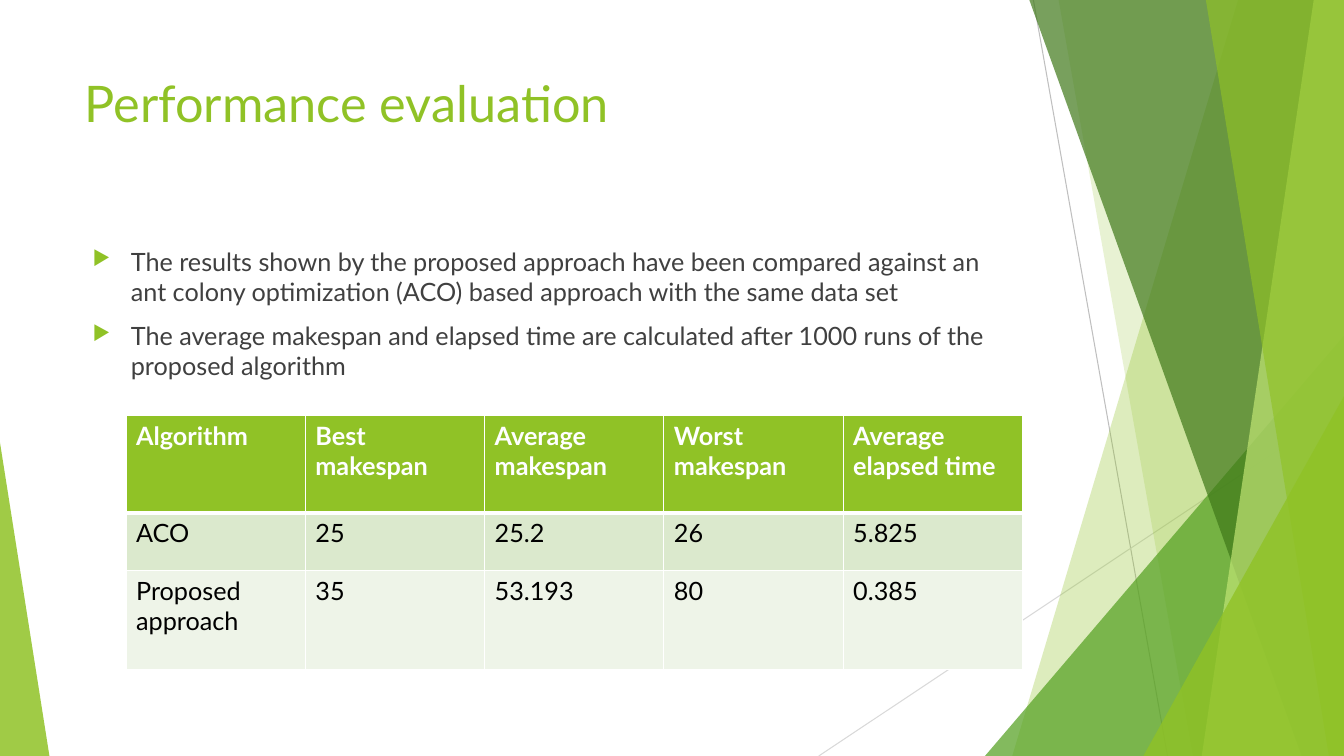
import pptx
import pptx.util
import pptx.dml.color
import pptx.enum.shapes
import pptx.oxml
import pptx.oxml.ns
import lxml.etree

HUES = {
    "lime": "90C226", "leaf": "54A021", "moss": "3F7819", "pale": "C0E474",
    "ink": "404040", "black": "000000", "white": "FFFFFF",
    "gray": "BFBFBF", "mist": "D9D9D9", "band": "DBE9CD", "tint": "EEF4E8",
}
RGB = {name: pptx.dml.color.RGBColor.from_string(hue) for name, hue in HUES.items()}
NS = pptx.oxml.ns.nsdecls("a")

deck = pptx.Presentation()
deck.slide_width = pptx.util.Inches(13.33)
deck.slide_height = pptx.util.Inches(7.5)
slide = deck.slides.add_slide(deck.slide_layouts[6])
shapes = slide.shapes


def place(*parts):
    """Turn column, row, column, row ... on a 100 by 100 grid into lengths."""
    sides = (deck.slide_width, deck.slide_height)
    return [round(part * sides[i % 2] / 100) for i, part in enumerate(parts)]


def write(frame, lines, hue, format):
    frame.word_wrap = True
    for i, line in enumerate(lines):
        para = frame.paragraphs[0] if i == 0 else frame.add_paragraph()
        run = para.add_run()
        run.text = line
        run.font.color.rgb = RGB[hue]
        for key, value in format.items():
            setattr(run.font, key, value)


# Thin lines behind the facets
for ends, hue in [((76.89, 0, 86.87, 100), "gray"), ((100, 53.73, 60.92, 100), "mist")]:
    line = shapes.add_connector(pptx.enum.shapes.MSO_CONNECTOR.STRAIGHT, *place(*ends))
    line.line.color.rgb = RGB[hue]
    line.line.width = pptx.util.Pt(0.75)
    lxml.etree.SubElement(line._element.spPr, pptx.oxml.ns.qn("a:effectLst"))

# Facets: a pair is the top and bottom column of a slanted left edge,
# a longer entry is left, top, width, height and peak of a triangle
facets = [
    ((92.12, 75.32), "lime", 30),
    ((78.77, 88.75), "lime", 20),
    ((73.29, 44.4, 26.71, 55.6, 1), "leaf", 72),
    ((76.59, 96.85), "moss", 70),
    ((97.75, 89.42), "pale", 70),
    ((89.72, 98.87), "lime", 65),
    ((85.07, 52.4, 14.93, 47.6, 1), "lime", 80),
    ((0, 58.53, 3.68, 41.47, 0), "lime", 85),
]
for form, hue, alpha in facets:
    if len(form) == 2:
        top, base = form
        pen = shapes.build_freeform(*place(top, 0))
        pen.add_line_segments([place(100, 0), place(100, 100), place(base, 100)])
        facet = pen.convert_to_shape()
    else:
        kind = pptx.enum.shapes.MSO_SHAPE.ISOSCELES_TRIANGLE
        facet = shapes.add_shape(kind, *place(*form[:4]))
        facet.adjustments[0] = form[4]
    facet.shadow.inherit = False
    facet.line.fill.background()
    facet.fill.solid()
    facet.fill.fore_color.rgb = RGB[hue]
    tone = facet._element.spPr.find(".//" + pptx.oxml.ns.qn("a:srgbClr"))
    lxml.etree.SubElement(tone, pptx.oxml.ns.qn("a:alpha"), val=str(alpha * 1000))

# Title
plain = {"name": "Lato", "size": pptx.util.Pt(18), "bold": False}
title = shapes.add_textbox(*place(5.55, 8.93, 70.52, 19.2))
write(title.text_frame, ["Performance evaluation"], "lime",
      {**plain, "size": pptx.util.Pt(36)})

# Bulleted text
body = shapes.add_textbox(*place(6.15, 31.87, 70.52, 56.53))
write(body.text_frame, [
    "The results shown by the proposed approach have been compared against an "
    "ant colony optimization (ACO) based approach with the same data set",
    "The average makespan and elapsed time are calculated after 1000 runs of the "
    "proposed algorithm",
], "ink", plain)
indent = pptx.util.Inches(0.38)
for para in body.text_frame.paragraphs:
    para.space_before = pptx.util.Pt(10)
    props = para._p.get_or_add_pPr()
    props.set("marL", str(indent))
    props.set("indent", str(-indent))
    for mark in (f'<a:buClr {NS}><a:srgbClr val="{HUES["lime"]}"/></a:buClr>',
                 f'<a:buSzPct {NS} val="80000"/>',
                 f'<a:buChar {NS} char="▶"/>'):
        props.append(pptx.oxml.parse_xml(mark))

# Table of results
rows = [
    ["Algorithm", "Best makespan", "Average makespan", "Worst makespan",
     "Average elapsed time"],
    ["ACO", "25", "25.2", "26", "5.825"],
    ["Proposed approach", "35", "53.193", "80", "0.385"],
]
looks = [  # fill, text hue, bold, row height
    ("lime", "white", True, 12.93),
    ("band", "black", False, 7.6),
    ("tint", "black", False, 13.07),
]
table = shapes.add_table(3, 5, *place(9.38, 54.93, 66.7, 33.6)).table
for col in table.columns:
    col.width = place(13.34)[0]
for r, (fill, hue, bold, height) in enumerate(looks):
    table.rows[r].height = place(0, height)[1]
    for c, words in enumerate(rows[r]):
        cell = table.cell(r, c)
        write(cell.text_frame, [words], hue, {**plain, "bold": bold})
        cell.fill.solid()
        cell.fill.fore_color.rgb = RGB[fill]
        # White borders, thick between the header and the first row
        thick = {0: "lnB", 1: "lnT"}.get(r)
        for i, side in enumerate(["lnL", "lnR", "lnT", "lnB"]):
            width = pptx.util.Pt(3 if side == thick else 1)
            cell._tc.get_or_add_tcPr().insert(i, pptx.oxml.parse_xml(
                f'<a:{side} {NS} w="{width}"><a:solidFill>'
                f'<a:srgbClr val="{HUES["white"]}"/></a:solidFill></a:{side}>'))

deck.save("out.pptx")
